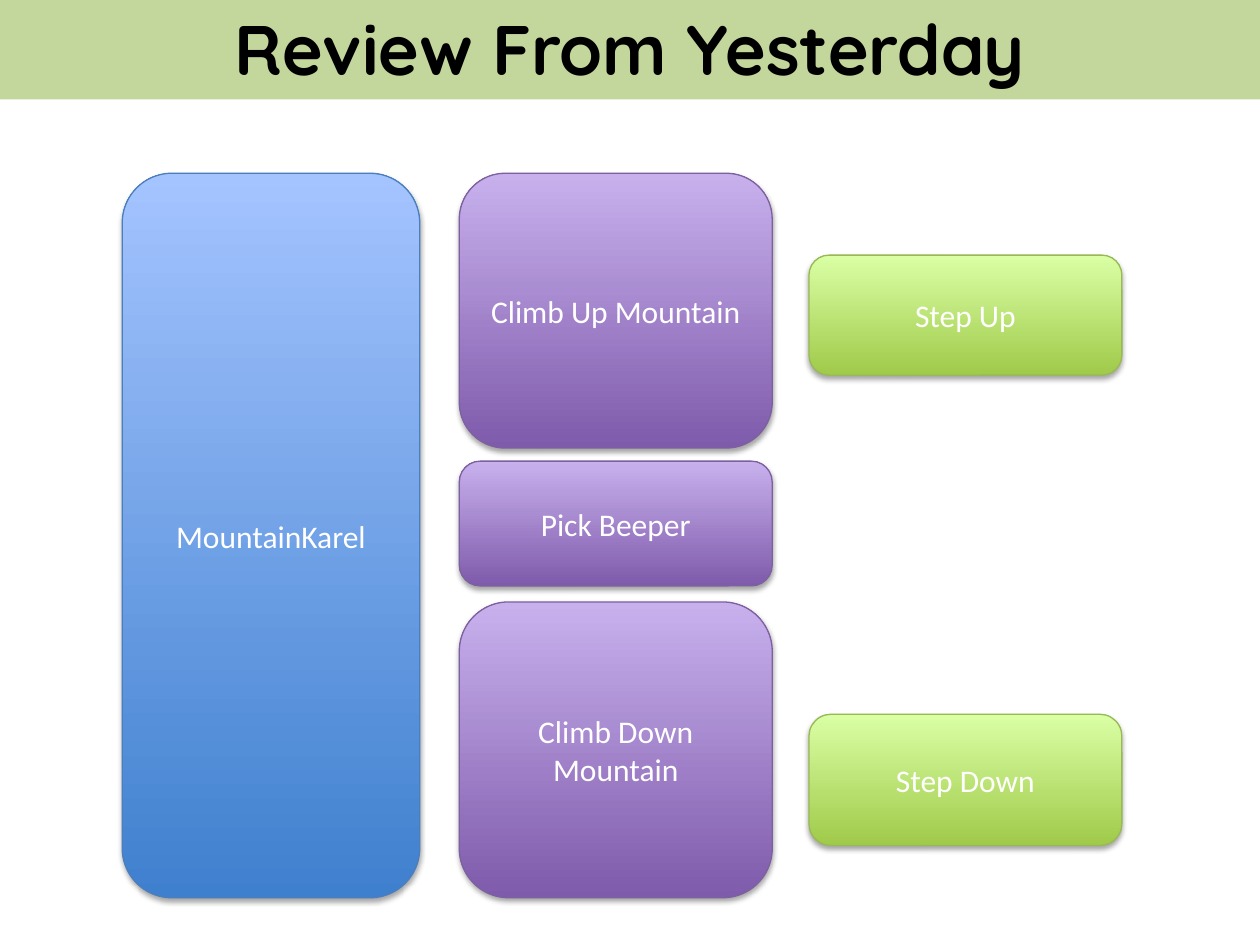
from dataclasses import dataclass

from lxml.etree import SubElement
from pptx import Presentation
from pptx.dml.color import RGBColor
from pptx.enum.shapes import MSO_SHAPE
from pptx.enum.text import MSO_ANCHOR, PP_ALIGN
from pptx.oxml.ns import qn
from pptx.util import Pt


@dataclass(frozen=True)
class Palette:
    bottom: str
    top: str
    line: str


@dataclass(frozen=True)
class Theme:
    banner: str = "C3D69B"
    title_color: str = "000000"
    title_font: str = "Quicksand"
    title_size: float = 40
    label_color: str = "FFFFFF"
    label_font: str = "Calibri"
    label_size: float = 18
    shadow_color: str = "000000"
    program: Palette = Palette("3F80CE", "A4C4FF", "4B7EBC")
    method: Palette = Palette("7F5BAB", "C8B0ED", "7D60A0")
    step: Palette = Palette("A0CA4A", "DAFFA5", "98B955")


@dataclass(frozen=True)
class Column:
    left: float
    width: float
    palette: Palette


@dataclass(frozen=True)
class Block:
    label: str
    column: Column
    top: float
    height: float


THEME = Theme()

# Columns run from the whole program down to its smallest steps
PROGRAM = Column(69.84, 170, THEME.program)
METHODS = Column(262.5, 178.8, THEME.method)
STEPS = Column(462.3, 178.8, THEME.step)

BLOCKS = [
    Block("MountainKarel", PROGRAM, 99, 414),
    Block("Climb Up Mountain", METHODS, 99, 157),
    Block("Climb Down Mountain", METHODS, 344, 169),
    Block("Pick Beeper", METHODS, 263.5, 71.3),
    Block("Step Up", STEPS, 145.8, 68.6),
    Block("Step Down", STEPS, 408.2, 75),
]


def set_text(sp, text: str, font: str, size: float, color: str, bold: bool = False) -> None:
    tf = sp.text_frame
    tf.text = text
    tf.word_wrap = True
    tf.vertical_anchor = MSO_ANCHOR.MIDDLE
    p = tf.paragraphs[0]
    p.alignment = PP_ALIGN.CENTER
    r = p.runs[0]
    r.font.name = font
    r.font.size = Pt(size)
    r.font.bold = bold
    r.font.color.rgb = RGBColor.from_string(color)


def add_drop_shadow(sp) -> None:
    sp.shadow.inherit = False
    effects = sp.element.spPr.find(qn("a:effectLst"))
    shadow = SubElement(effects, qn("a:outerShdw"), blurRad=str(Pt(3.1)),
                        dist=str(Pt(1.8)), dir="5400000", rotWithShape="0")
    color = SubElement(shadow, qn("a:srgbClr"), val=THEME.shadow_color)
    SubElement(color, qn("a:alpha"), val="35000")


def draw_banner(s, title: str) -> None:
    sp = s.shapes.add_shape(MSO_SHAPE.RECTANGLE, Pt(0), Pt(-2.2), Pt(720), Pt(59))
    sp.shadow.inherit = False
    sp.fill.solid()
    sp.fill.fore_color.rgb = RGBColor.from_string(THEME.banner)
    sp.line.fill.background()
    set_text(sp, title, THEME.title_font, THEME.title_size, THEME.title_color, bold=True)


def draw_block(s, block: Block) -> None:
    column, palette = block.column, block.column.palette
    sp = s.shapes.add_shape(MSO_SHAPE.ROUNDED_RECTANGLE, Pt(column.left), Pt(block.top),
                            Pt(column.width), Pt(block.height))
    sp.fill.gradient()
    sp.fill.gradient_angle = 90
    for stop, color in zip(sp.fill.gradient_stops, (palette.bottom, palette.top)):
        stop.color.rgb = RGBColor.from_string(color)
    sp.line.color.rgb = RGBColor.from_string(palette.line)
    sp.line.width = Pt(0.75)
    add_drop_shadow(sp)
    set_text(sp, block.label, THEME.label_font, THEME.label_size, THEME.label_color)


def main() -> None:
    prs = Presentation()
    prs.slide_width, prs.slide_height = Pt(720), Pt(540)
    s = prs.slides.add_slide(prs.slide_layouts[6])

    # Title banner
    draw_banner(s, "Review From Yesterday")

    # Decomposition blocks
    for block in BLOCKS:
        draw_block(s, block)

    prs.save("out.pptx")


if __name__ == "__main__":
    main()
